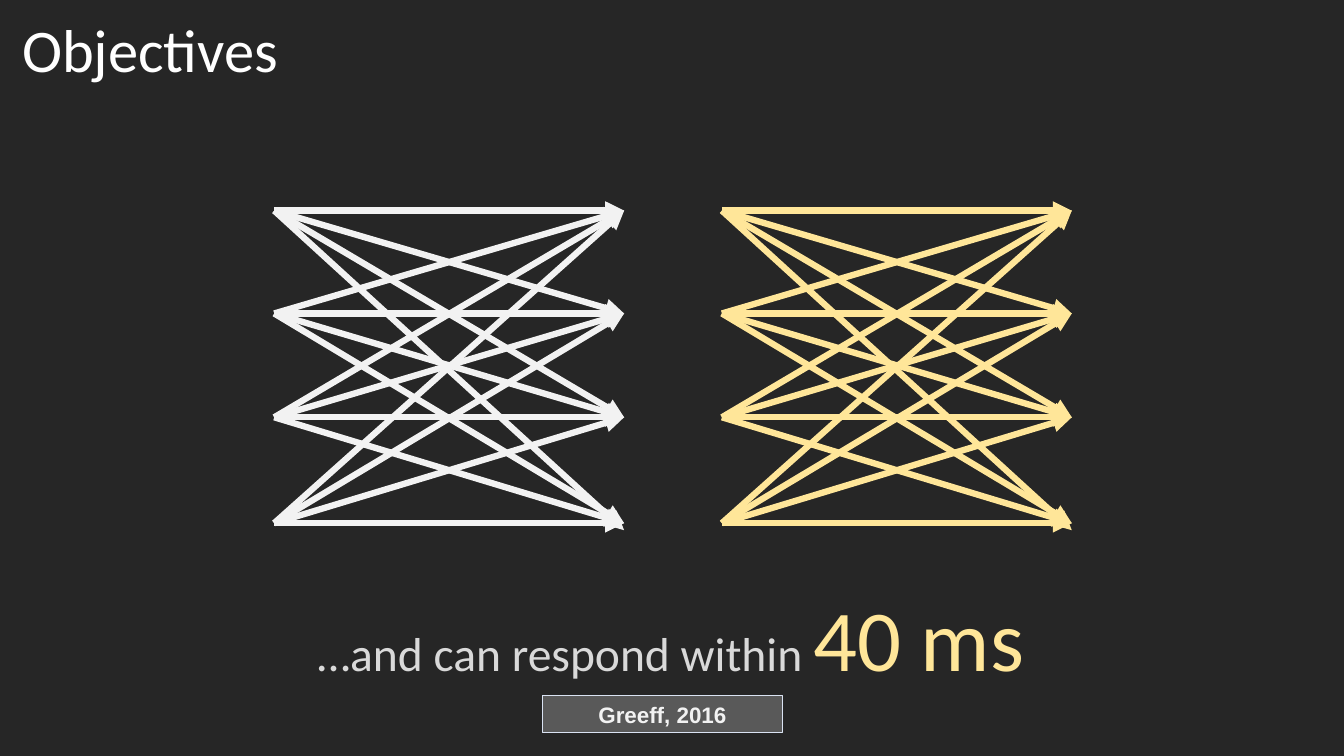
from dataclasses import dataclass
from itertools import product

from lxml import etree
from pptx import Presentation
from pptx.dml.color import RGBColor
from pptx.enum.shapes import MSO_CONNECTOR, MSO_SHAPE
from pptx.enum.text import MSO_ANCHOR, PP_ALIGN
from pptx.oxml.ns import qn
from pptx.util import Inches, Pt

STRAIGHT = MSO_CONNECTOR.STRAIGHT
RECTANGLE = MSO_SHAPE.RECTANGLE
TOP, MIDDLE, BOTTOM = MSO_ANCHOR.TOP, MSO_ANCHOR.MIDDLE, MSO_ANCHOR.BOTTOM
LEFT, CENTER = PP_ALIGN.LEFT, PP_ALIGN.CENTER


@dataclass(frozen=True)
class Theme:
    background: str = "262626"
    title: str = "FFFFFF"
    caption: str = "D9D9D9"
    pale: str = "F2F2F2"
    accent: str = "FFE699"
    citation_fill: str = "595959"
    citation_line: str = "DAE3F3"
    body_font: str = "Calibri"
    citation_font: str = "Arial"
    title_size: float = 43.2
    caption_size: float = 34
    accent_size: float = 62
    citation_size: float = 16
    arrow_width: float = 4.5
    border_width: float = 0.75


THEME = Theme()

# Heights of the four nodes on each side, measured from the network's top
NODE_OFFSETS = (0, 1.02, 2.05, 3.1)
LONG_DIAGONAL_DROP = 3.17


def color(value):
    return RGBColor.from_string(value)


def format_run(run, font, size, fill, bold=False):
    run.font.name = font
    run.font.size = Pt(size)
    run.font.color.rgb = color(fill)
    run.font.bold = bold


def add_text(slide, box, text, anchor, alignment):
    shape = slide.shapes.add_textbox(*map(Inches, box))
    frame = shape.text_frame
    frame.word_wrap = True
    frame.vertical_anchor = anchor
    frame.text = text
    paragraph = frame.paragraphs[0]
    paragraph.alignment = alignment
    paragraph.line_spacing = 0.9
    return paragraph


def add_title(slide, box):
    paragraph = add_text(slide, box, "Objectives", BOTTOM, LEFT)
    format_run(paragraph.runs[0], THEME.body_font, THEME.title_size, THEME.title)


def add_arrow(slide, start, end, fill):
    arrow = slide.shapes.add_connector(STRAIGHT, *map(Inches, (*start, *end)))
    arrow.line.color.rgb = color(fill)
    arrow.line.width = Pt(THEME.arrow_width)
    # Arrowhead and empty effect list
    line = arrow.line._get_or_add_ln()
    etree.SubElement(line, qn("a:tailEnd")).set("type", "triangle")
    etree.SubElement(arrow._element.spPr, qn("a:effectLst"))


def add_network(slide, left, top, width, fill):
    """Connect every node on the left to every node on the right."""
    first, last = NODE_OFFSETS[0], NODE_OFFSETS[-1]
    for source, target in product(NODE_OFFSETS, repeat=2):
        drop = LONG_DIAGONAL_DROP if (source, target) == (first, last) else target
        add_arrow(slide, (left, top + source), (left + width, top + drop), fill)


def add_caption(slide, box):
    paragraph = add_text(slide, box, "…and can respond within ", TOP, CENTER)
    format_run(paragraph.runs[0], THEME.body_font, THEME.caption_size, THEME.caption)
    emphasis = paragraph.add_run()
    emphasis.text = "40 ms"
    format_run(emphasis, THEME.body_font, THEME.accent_size, THEME.accent)


def add_citation(slide, box):
    shape = slide.shapes.add_shape(RECTANGLE, *map(Inches, box))
    shape.shadow.inherit = False
    shape.fill.solid()
    shape.fill.fore_color.rgb = color(THEME.citation_fill)
    shape.line.color.rgb = color(THEME.citation_line)
    shape.line.width = Pt(THEME.border_width)
    frame = shape.text_frame
    frame.word_wrap = True
    frame.vertical_anchor = MIDDLE
    frame.text = "Greeff, 2016"
    paragraph = frame.paragraphs[0]
    paragraph.alignment = CENTER
    format_run(paragraph.runs[0], THEME.citation_font, THEME.citation_size,
               THEME.pale, bold=True)


def main():
    presentation = Presentation()
    presentation.slide_width = Inches(13.33)
    presentation.slide_height = Inches(7.5)
    slide = presentation.slides.add_slide(presentation.slide_layouts[6])
    slide.background.fill.solid()
    slide.background.fill.fore_color.rgb = color(THEME.background)

    add_title(slide, (0.12, 0.1, 12.18, 0.8))
    add_network(slide, 2.72, 2.09, 3.47, THEME.pale)
    add_network(slide, 7.16, 2.09, 3.47, THEME.accent)
    add_caption(slide, (1.77, 5.87, 9.77, 1.15))
    add_citation(slide, (5.38, 6.9, 2.38, 0.37))
    presentation.save("out.pptx")


if __name__ == "__main__":
    main()
